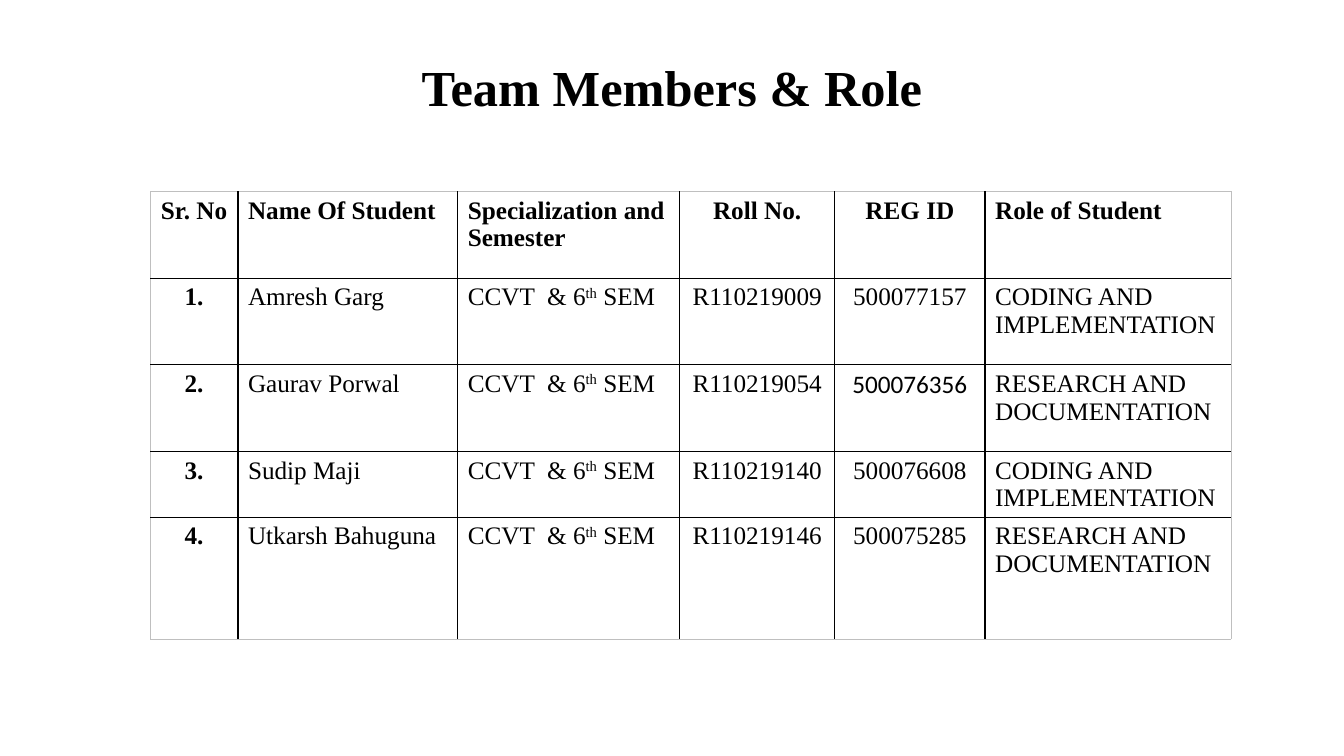
from pptx import Presentation
from pptx import util as u
from pptx.dml.color import RGBColor
from pptx.enum import text
from pptx.oxml import parse_xml
from pptx.oxml.ns import nsdecls

COLORS = {"ink": "000000", "edge": "BFBFBF", "paper": "FFFFFF"}
SERIF = "Times New Roman"
AL = text.PP_ALIGN
W, H = u.Inches(13.33), u.Inches(7.5)


def add_run(p, words, **fmt):
    r = p.add_run()
    r.text = words
    for name, value in {"name": SERIF, "size": u.Pt(18), "bold": False, **fmt}.items():
        setattr(r.font, name, value)
    r.font.color.rgb = RGBColor.from_string(COLORS["ink"])
    return r


def add_borders(cell, outer):
    tcPr = cell._tc.get_or_add_tcPr()
    for i, (side, is_edge) in enumerate(outer.items()):
        color, width = ("edge", 0.25) if is_edge else ("ink", 1)
        tcPr.insert(i, parse_xml(
            f'<a:{side} {nsdecls("a")} w="{u.Pt(width)}"><a:solidFill>'
            f'<a:srgbClr val="{COLORS[color]}"/></a:solidFill></a:{side}>'))


prs = Presentation()
prs.slide_width, prs.slide_height = W, H
s = prs.slides.add_slide(prs.slide_layouts[6])

title = s.shapes.add_textbox(0, u.Inches(0.02), W, u.Inches(1.67))
tf = title.text_frame
for name, value in {"word_wrap": True, "vertical_anchor": text.MSO_ANCHOR.MIDDLE}.items():
    setattr(tf, name, value)
p = tf.paragraphs[0]
p.alignment = AL.CENTER
add_run(p, "Team Members & Role", size=u.Pt(36), bold=True)

header = ["Sr. No", "Name Of Student", "Specialization and Semester",
          "Roll No.", "REG ID", "Role of Student"]
roles = ["CODING AND IMPLEMENTATION", "RESEARCH AND DOCUMENTATION"]
students = [
    ("Amresh Garg", "R110219009", "500077157"),
    ("Gaurav Porwal", "R110219054", "500076356"),
    ("Sudip Maji", "R110219140", "500076608"),
    ("Utkarsh Bahuguna", "R110219146", "500075285"),
]
rows = [header] + [
    [f"{i + 1}.", name, "CCVT  & 6|th| SEM", roll, reg, roles[i % 2]]
    for i, (name, roll, reg) in enumerate(students)]
aligns = [AL.CENTER, AL.JUSTIFY, AL.LEFT, AL.CENTER, AL.CENTER, AL.LEFT]
col_widths = [0.87, 2.18, 2.2, 1.54, 1.49, 2.44]
row_heights = [0.86, 0.86, 0.86, 0.65, 1.21]

frame = s.shapes.add_table(len(rows), len(header), u.Inches(1.49), u.Inches(1.9),
                           u.Inches(sum(col_widths)), u.Inches(sum(row_heights)))
table = frame.table
table.first_row = table.horz_banding = False
for col, width in zip(table.columns, col_widths):
    col.width = u.Inches(width)
for row, height in zip(table.rows, row_heights):
    row.height = u.Inches(height)

for i, values in enumerate(rows):
    for j, value in enumerate(values):
        cell = table.cell(i, j)
        cell.margin_bottom = 0
        cell.fill.solid()
        cell.fill.fore_color.rgb = RGBColor.from_string(COLORS["paper"])
        add_borders(cell, {"lnL": j == 0, "lnR": j == len(header) - 1,
                           "lnT": i == 0, "lnB": i == len(rows) - 1})
        p = cell.text_frame.paragraphs[0]
        p.alignment = aligns[j]
        font = "Calibri" if value == "500076356" else SERIF
        for k, words in enumerate(value.split("|")):
            r = add_run(p, words, name=font, bold=i == 0 or j == 0)
            if k == 1:
                r.font._element.set("baseline", "30000")

prs.save("out.pptx")
